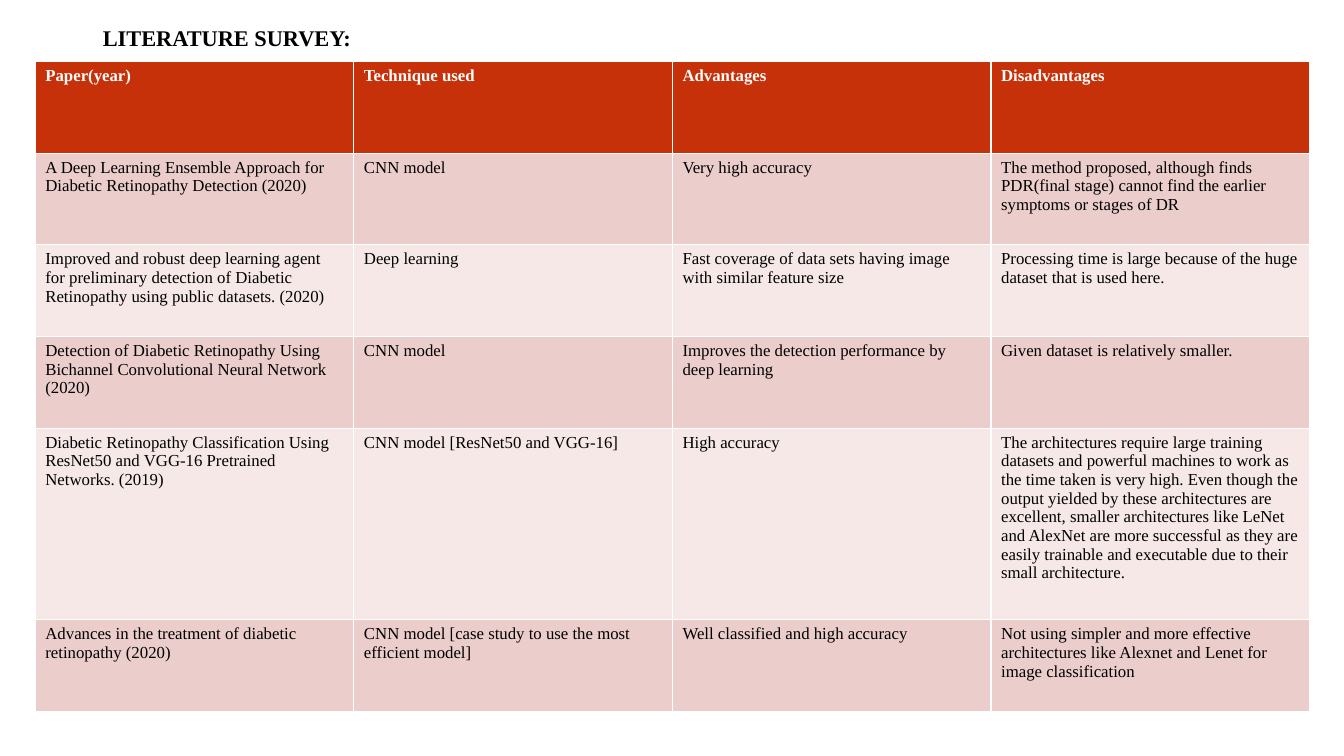
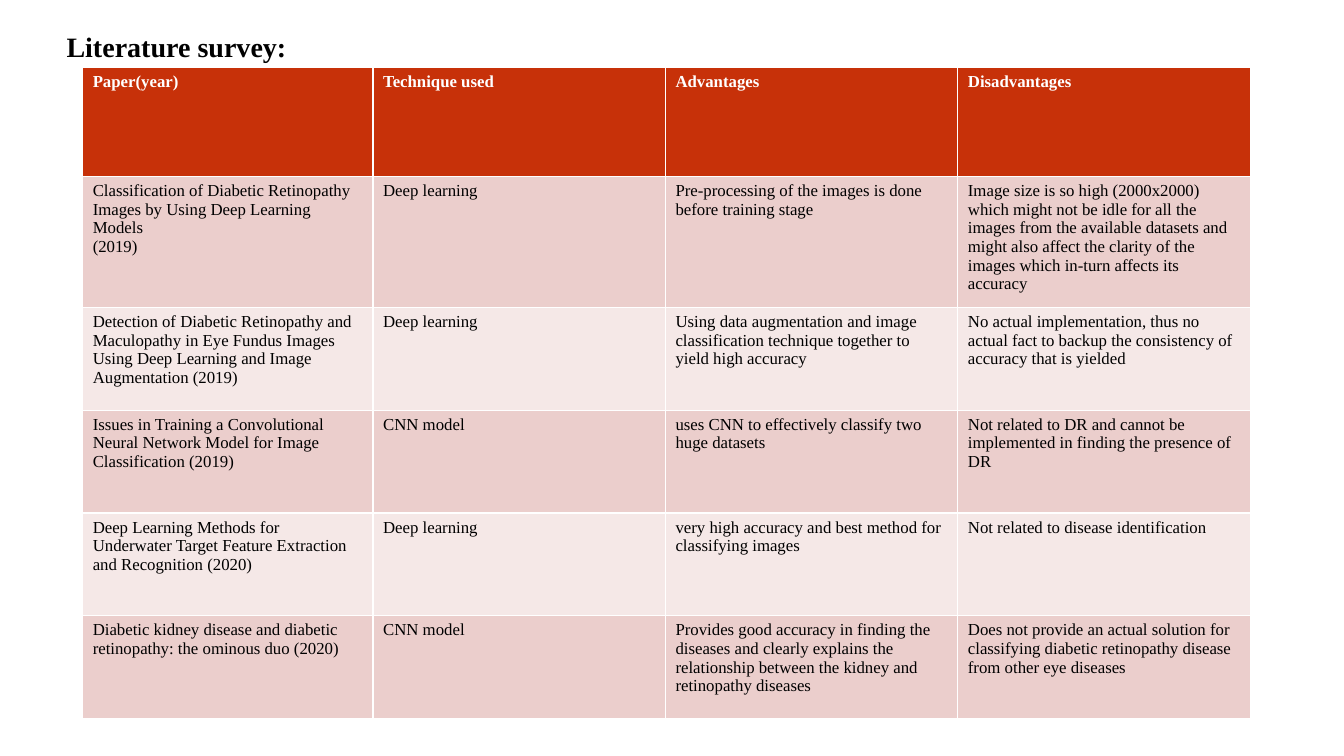
import pptx
import pptx.dml.color
import pptx.enum.text
import pptx.util

Inches = pptx.util.Inches
RGBColor = pptx.dml.color.RGBColor

BLACK = RGBColor(0x00, 0x00, 0x00)
WHITE = RGBColor(0xFF, 0xFF, 0xFF)
HEADER_RED = RGBColor(0xC7, 0x31, 0x09)
BAND_DARK = RGBColor(0xEB, 0xCE, 0xCC)
BAND_LIGHT = RGBColor(0xF5, 0xE8, 0xE7)

FONT = "Times New Roman"
TITLE_FONT = {"name": FONT, "bold": True}
HEADER_FONT = {"name": FONT, "size": pptx.util.Pt(12), "bold": True}
BODY_FONT = {"name": FONT, "size": pptx.util.Pt(12), "bold": False}

TITLE_ONLY = 5
HEADINGS = ("Paper(year)", "Technique used", "Advantages", "Disadvantages")

FIRST_PAPERS = (
    ("A Deep Learning Ensemble Approach for Diabetic Retinopathy Detection (2020)",
     "CNN model",
     "Very high accuracy",
     "The method proposed, although finds PDR(final stage) cannot find the earlier "
     "symptoms or stages of DR"),
    ("Improved and robust deep learning agent for preliminary detection of Diabetic "
     "Retinopathy using public datasets. (2020)",
     "Deep learning",
     "Fast coverage of data sets having image with similar feature size",
     "Processing time is large because of the huge dataset that is used here."),
    ("Detection of Diabetic Retinopathy Using Bichannel Convolutional Neural Network\n(2020)",
     "CNN model",
     "Improves the detection performance by deep learning",
     "Given dataset is relatively smaller."),
    ("Diabetic Retinopathy Classification Using ResNet50 and VGG-16 Pretrained "
     "Networks. (2019)",
     "CNN model [ResNet50 and VGG-16]",
     "High accuracy",
     "The architectures require large training datasets and powerful machines to work "
     "as the time taken is very high. Even though the output yielded by these "
     "architectures are excellent, smaller architectures like LeNet and AlexNet are "
     "more successful as they are easily trainable and executable due to their small "
     "architecture."),
    ("Advances in the treatment of diabetic retinopathy (2020)",
     "CNN model [case study to use the most efficient model]",
     "Well classified and high accuracy",
     "Not using simpler and more effective architectures like Alexnet and Lenet for "
     "image classification"),
)

SECOND_PAPERS = (
    ("Classification of Diabetic Retinopathy Images by Using Deep Learning Models\n(2019)",
     "Deep learning",
     "Pre-processing of the images is done before training stage",
     "Image size is so high (2000x2000) which might not be idle for all the images "
     "from the available datasets and might also affect the clarity of the images "
     "which in-turn affects its accuracy"),
    ("Detection of Diabetic Retinopathy and Maculopathy in Eye Fundus Images Using "
     "Deep Learning and Image Augmentation (2019)",
     "Deep learning",
     "Using data augmentation and image classification technique together to yield "
     "high accuracy",
     "No actual implementation, thus no actual fact to backup the consistency of "
     "accuracy that is yielded"),
    ("Issues in Training a Convolutional Neural Network Model for Image "
     "Classification (2019)",
     "CNN model",
     "uses CNN to effectively classify two huge datasets",
     "Not related to DR and cannot be implemented in finding the presence of DR"),
    ("Deep Learning Methods for Underwater Target Feature Extraction and "
     "Recognition (2020)",
     "Deep learning",
     "very high accuracy and best method for classifying images",
     "Not related to disease identification"),
    ("Diabetic kidney disease and diabetic retinopathy: the ominous duo (2020)",
     "CNN model",
     "Provides good accuracy in finding the diseases and clearly explains the "
     "relationship between the kidney and retinopathy diseases",
     "Does not provide an actual solution for classifying diabetic retinopathy "
     "disease from other eye diseases"),
)


def write_text(frame, text, color, font_format):
    """Fill a text frame, one paragraph for each line of text."""
    frame.text = text
    for para in frame.paragraphs:
        para.alignment = pptx.enum.text.PP_ALIGN.LEFT
        for span in para.runs:
            for name, value in font_format.items():
                setattr(span.font, name, value)
            span.font.color.rgb = color


def set_title(page, text, size, box):
    title = page.shapes.title
    for name, value in zip(("left", "top", "width", "height"), box):
        setattr(title, name, Inches(value))
    title.text_frame.vertical_anchor = pptx.enum.text.MSO_ANCHOR.MIDDLE
    write_text(title.text_frame, text, BLACK, {**TITLE_FONT, "size": pptx.util.Pt(size)})


def row_style(index):
    """Return fill, text colour and font format of a table row."""
    if index == 0:
        return HEADER_RED, WHITE, HEADER_FONT
    return (BAND_DARK if index % 2 else BAND_LIGHT), BLACK, BODY_FONT


def add_survey_table(page, papers, left, top, widths, heights):
    rows = (HEADINGS, *papers)
    table = page.shapes.add_table(
        len(rows), len(HEADINGS), Inches(left), Inches(top),
        Inches(sum(widths)), Inches(sum(heights))).table
    for column, width in zip(table.columns, widths):
        column.width = Inches(width)
    for index, (texts, height) in enumerate(zip(rows, heights)):
        table.rows[index].height = Inches(height)
        fill, color, font_format = row_style(index)
        for cell, text in zip(table.rows[index].cells, texts):
            cell.fill.solid()
            cell.fill.fore_color.rgb = fill
            write_text(cell.text_frame, text, color, font_format)


def main():
    deck = pptx.Presentation()
    deck.slide_width = Inches(13.33)
    deck.slide_height = Inches(7.5)
    layout = deck.slide_layouts[TITLE_ONLY]

    page = deck.slides.add_slide(layout)
    set_title(page, "LITERATURE SURVEY:", 16, (0.92, 0.02, 11.5, 0.7))
    add_survey_table(page, FIRST_PAPERS, 0.35, 0.61,
                     [3.16] * 4, [0.91] * 4 + [1.9, 0.91])

    page = deck.slides.add_slide(layout)
    set_title(page, "Literature survey:", 20, (0.56, 0.16, 11.5, 0.59))
    add_survey_table(page, SECOND_PAPERS, 0.82, 0.67,
                     [2.88] + [2.9] * 3, [1.08, 1.3] + [1.02] * 4)

    deck.save("out.pptx")


if __name__ == "__main__":
    main()
